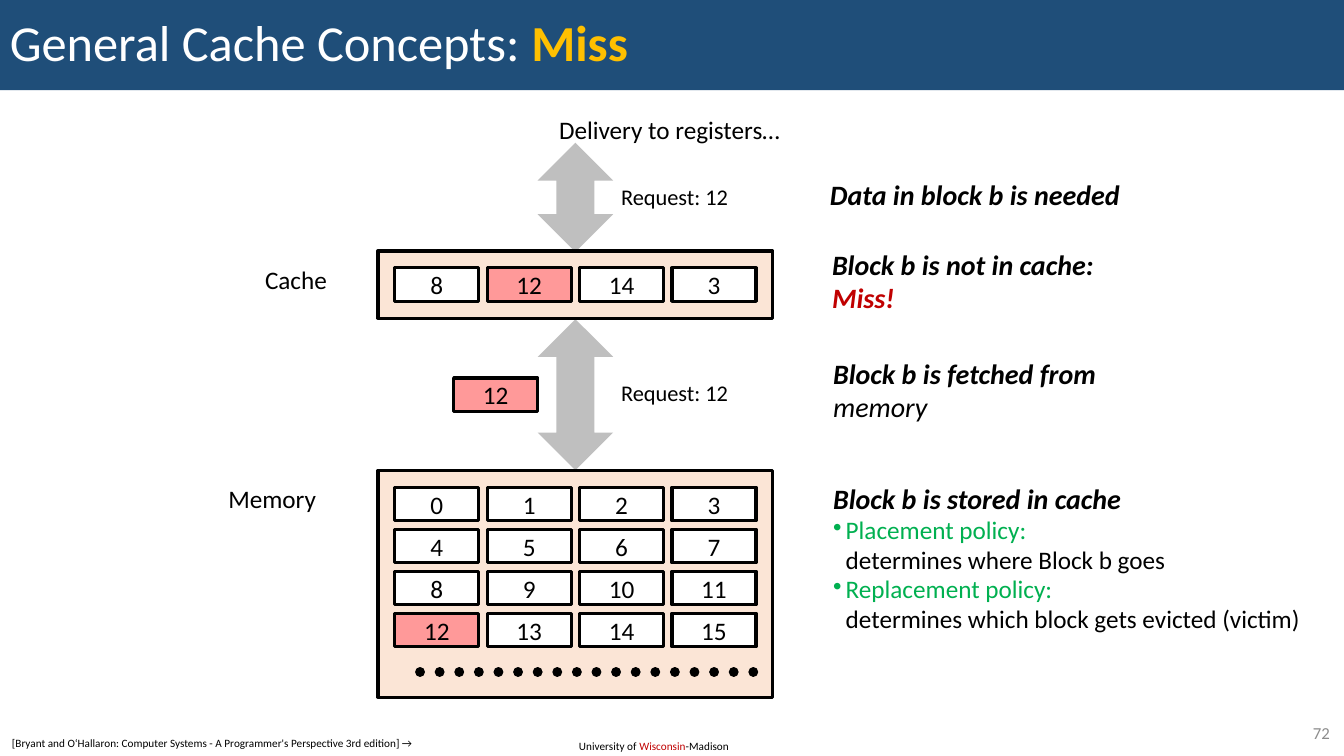
from dataclasses import dataclass

from lxml import etree
from pptx import Presentation
from pptx.dml.color import RGBColor
from pptx.enum.dml import MSO_LINE
from pptx.enum.shapes import MSO_CONNECTOR, MSO_SHAPE
from pptx.enum.text import MSO_ANCHOR, PP_ALIGN
from pptx.oxml.ns import qn
from pptx.util import Pt

RECT, ARROW = MSO_SHAPE.RECTANGLE, MSO_SHAPE.UP_DOWN_ARROW
STRAIGHT, DOTTED = MSO_CONNECTOR.STRAIGHT, MSO_LINE.ROUND_DOT
LEFT, CENTER, RIGHT = PP_ALIGN.LEFT, PP_ALIGN.CENTER, PP_ALIGN.RIGHT
TOP, MIDDLE = MSO_ANCHOR.TOP, MSO_ANCHOR.MIDDLE
PX = 9525


@dataclass(frozen=True)
class Theme:
    font: str = "Calibri"
    ink: str = "000000"
    white: str = "FFFFFF"
    banner: str = "1F4E79"
    gold: str = "FFC000"
    red: str = "C00000"
    green: str = "00B050"
    grey: str = "8C8C8C"
    arrow: str = "BFBFBF"
    store: str = "FBE5D6"
    wanted: str = "FF9999"
    title: int = 36
    step: int = 20
    body: int = 18
    request: int = 16
    number: int = 12
    footer: int = 8
    outline: float = 2.25
    dots: int = 7


T = Theme()
STRONG = {"bold": True, "italic": True}
POLICY = {"size": T.body, "color": T.green}
DETAIL = {"size": T.body}

TITLE = [[("General Cache Concepts: ", {}), ("Miss", {"color": T.gold, "bold": True})]]
UNIVERSITY = [[("University of ", {}), ("Wisconsin", {"color": T.red}), ("-Madison", {})]]
CITATION = "[Bryant and O‘Hallaron: Computer Systems - A Programmer's Perspective 3rd edition] →"
WANTED = 12
CACHE_BLOCKS = [8, WANTED, 14, 3]
MEMORY_BLOCKS = list(range(16))
TRANSFERS = [(512, 136, 72, 104), (512, 304, 72, 144)]
CACHE = (360, 239, 376, 64)
MEMORY = (360, 448, 376, 216)
BLOCK_W, BLOCK_H, PITCH_X, PITCH_Y, COLUMNS = 80, 32, 88, 40, 4
LABELS = [
    ("Cache", (243, 247, 79, 38)),
    ("Memory", (208, 456, 104, 38)),
    ("Delivery to registers…", (523, 104, 232, 38)),
]
REQUESTS = [("Request: 12", (580, 170, 125, 36)), ("Request: 12", (580, 356, 125, 36))]
STEPS = [
    ((781, 166, 297, 41), [[("Data in block b is needed", STRONG)]]),
    ((783, 232, 270, 73), [
        [("Block b is not in cache:", STRONG)],
        [("Miss!", {**STRONG, "color": T.red})],
    ]),
    ((784, 336, 272, 73), [
        [("Block b is fetched from", STRONG)],
        [("memory", {"italic": True})],
    ]),
    ((784, 454, 469, 156), [
        [("Block b is stored in cache", STRONG)],
        [("Placement policy:\n", POLICY), ("determines where Block b goes", DETAIL)],
        [("Replacement policy:\n", POLICY),
         ("determines which block gets evicted (victim)", DETAIL)],
    ]),
]

prs = Presentation()
prs.slide_width, prs.slide_height = 1280 * PX, 720 * PX
slide = prs.slides.add_slide(prs.slide_layouts[6])


def rgb(color):
    return RGBColor.from_string(color)


def emu(box):
    return [length * PX for length in box]


def add_bullet(paragraph):
    properties = paragraph._p.get_or_add_pPr()
    properties.set("marL", str(12 * PX))
    properties.set("indent", str(-12 * PX))
    etree.SubElement(properties, qn("a:buChar")).set("char", "•")


def write(text, box=None, shape=None, size=T.body, color=T.ink, align=LEFT,
          anchor=TOP, spacing=None, wrap=True):
    holder = shape if shape is not None else slide.shapes.add_textbox(*emu(box))
    frame = holder.text_frame
    frame.word_wrap = wrap
    frame.vertical_anchor = anchor
    paragraphs = [[(text, {})]] if isinstance(text, str) else text
    for index, runs in enumerate(paragraphs):
        paragraph = frame.paragraphs[0] if index == 0 else frame.add_paragraph()
        if runs[0][1] is POLICY:
            add_bullet(paragraph)
        paragraph.alignment = align
        if spacing:
            paragraph.line_spacing = spacing
        for words, style in runs:
            run = paragraph.add_run()
            run.text = words.rstrip("\n")
            font = run.font
            font.name = T.font
            font.size = Pt(style.get("size", size))
            font.bold = style.get("bold", False)
            font.italic = style.get("italic", False)
            font.color.rgb = rgb(style.get("color", color))
            if words.endswith("\n"):
                paragraph.add_line_break()
    return holder


def add_figure(kind, box, fill, outlined=False):
    figure = slide.shapes.add_shape(kind, *emu(box))
    figure.shadow.inherit = False
    figure.fill.solid()
    figure.fill.fore_color.rgb = rgb(fill)
    if outlined:
        figure.line.color.rgb = rgb(T.ink)
        figure.line.width = Pt(T.outline)
    else:
        figure.line.fill.background()
    return figure


def add_block(value, x, y):
    fill = T.wanted if value == WANTED else T.white
    block = add_figure(RECT, (x, y, BLOCK_W, BLOCK_H), fill, outlined=True)
    write(str(value), shape=block, align=CENTER, anchor=MIDDLE)


def add_store(store, blocks):
    add_figure(RECT, store, T.store, outlined=True)
    for index, value in enumerate(blocks):
        row, column = divmod(index, COLUMNS)
        add_block(value, store[0] + 16 + column * PITCH_X, store[1] + 16 + row * PITCH_Y)


banner = add_figure(RECT, (0, 0, 1280, 86), T.banner)
write(TITLE, shape=banner, size=T.title, color=T.white, anchor=MIDDLE, spacing=0.9)

for transfer in TRANSFERS:
    add_figure(ARROW, transfer, T.arrow)
add_store(CACHE, CACHE_BLOCKS)
add_store(MEMORY, MEMORY_BLOCKS)
add_block(WANTED, 432, 360)

more_blocks = slide.shapes.add_connector(STRAIGHT, *emu((400, 640, 720, 640)))
more_blocks.line.color.rgb = rgb(T.ink)
more_blocks.line.width = Pt(T.dots)
more_blocks.line.dash_style = DOTTED
more_blocks.line._get_or_add_ln().set("cap", "rnd")
etree.SubElement(more_blocks._element.spPr, qn("a:effectLst"))

for label, box in LABELS:
    write(label, box, wrap=False)
for request, box in REQUESTS:
    write(request, box, size=T.request, align=CENTER, wrap=False)
for box, step in STEPS:
    write(step, box, size=T.step, anchor=MIDDLE, spacing=0.98, wrap=False)

write(UNIVERSITY, (542, 699, 165, 23), size=T.footer)
write(CITATION, (2, 697, 414, 23), size=T.footer)
write("72", (1203, 684, 73, 28), size=T.number, color=T.grey, align=RIGHT, anchor=MIDDLE)

prs.save("out.pptx")
